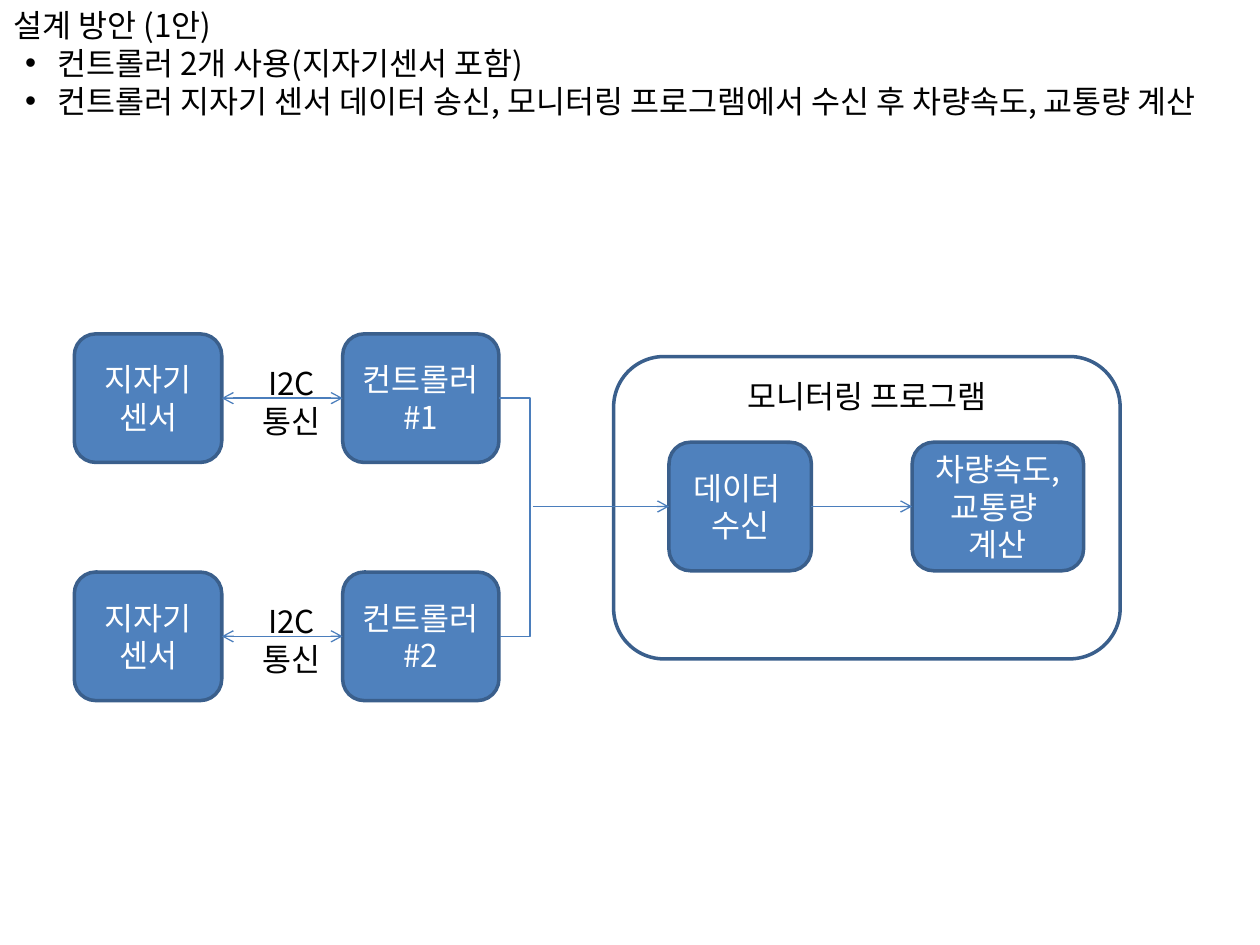
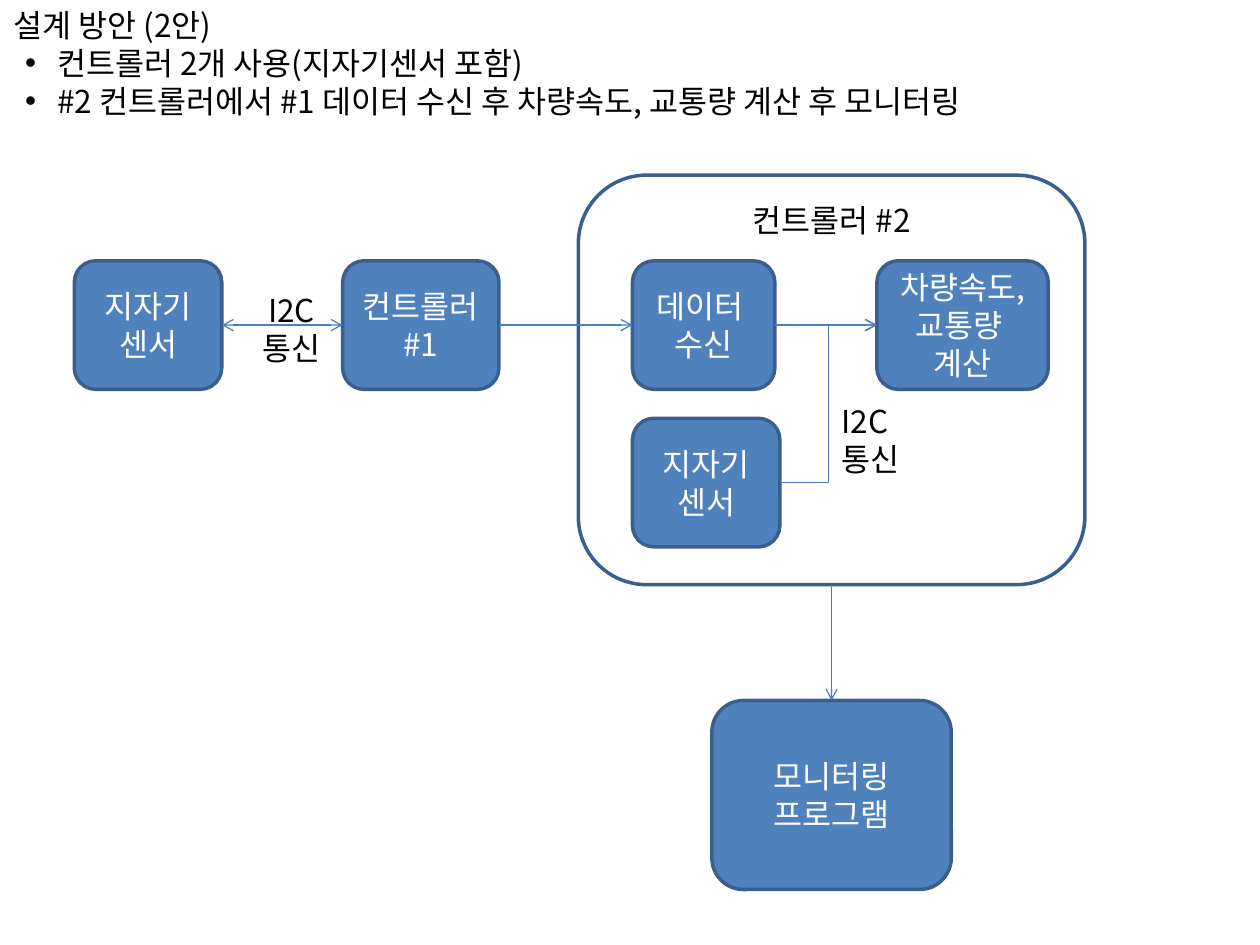
import pptx
import pptx.util
import pptx.dml.color
import pptx.enum.shapes
import pptx.enum.text
import pptx.oxml.ns
import lxml.etree

Inches = pptx.util.Inches
ALIGN = pptx.enum.text.PP_ALIGN
FONT = "Noto Sans CJK KR"
BLACK, WHITE = "000000", "FFFFFF"
BLUE, EDGE, WIRE = "4F81BD", "3A5F8C", "4B7EBC"

SENSOR = (["지자기", "센서"], 1.17)
FIRST = (["컨트롤러", "#1"], 1.24)
SECOND = (["컨트롤러", "#2"], 1.24)
DATA = (["데이터 ", "수신"], 1.13)
CALC = (["차량속도, 교통량 ", "계산"], 1.36)
MONITOR = (["모니터링 프로그램"], 1.9)
BOX, TALL = 1.02, 1.5
SENSE_X, UNIT_X = 0.59, 2.72
NOTE, NOTE_SIDE, NOTE_RISE = "I2C 통신", 0.71, 0.32
COMMON = " 컨트롤러 2개 사용(지자기센서 포함)"

SLIDES = [
    {
        "title": "설계 방안 (1안)",
        "list": [COMMON, " 컨트롤러 지자기 센서 데이터 송신, 모니터링 프로그램에서 수신 후 차량속도, 교통량 계산"],
        "panel": ("모니터링 프로그램", 4.87, 2.83, 4.02, 2.4),
        "boxes": {
            "sense1": (SENSOR, SENSE_X, 2.65, BOX),
            "unit1": (FIRST, UNIT_X, 2.65, BOX),
            "sense2": (SENSOR, SENSE_X, 4.54, BOX),
            "unit2": (SECOND, UNIT_X, 4.54, BOX),
            "data": (DATA, 5.31, 3.51, BOX),
            "calc": (CALC, 7.24, 3.51, BOX),
        },
        "links": [
            ("sense1", "unit1", "both"),
            ("sense2", "unit2", "both"),
            ((4.23, 4.02), "data", "end"),
            ("data", "calc", "end"),
        ],
        "bends": [((3.96, 3.16), (3.97, 5.05), "none", 25)],
        "notes": [(1.96, 3.16, ALIGN.CENTER), (1.96, 5.05, ALIGN.CENTER)],
    },
    {
        "title": "설계 방안 (2안)",
        "list": [COMMON, " #2 컨트롤러에서 #1 데이터 수신 후 차량속도, 교통량 계산 후 모니터링"],
        "panel": ("컨트롤러 #2", 4.59, 1.39, 4.02, 3.25),
        "boxes": {
            "sense1": (SENSOR, SENSE_X, 2.07, BOX),
            "unit1": (FIRST, UNIT_X, 2.07, BOX),
            "data": (DATA, 5.02, 2.07, BOX),
            "calc": (CALC, 6.96, 2.07, BOX),
            "sense2": (SENSOR, 5.02, 3.32, BOX),
            "monitor": (MONITOR, 5.65, 5.56, TALL),
        },
        "links": [
            ("sense1", "unit1", "both"),
            ("unit1", "data", "end"),
            ("data", "calc", "end"),
            ((6.6, 4.64), (6.6, 5.56), "end"),
        ],
        "bends": [("sense2", "calc", "end", 0.5)],
        "notes": [(1.96, 2.58, ALIGN.CENTER), (6.58, 3.46, ALIGN.LEFT)],
    },
]


def color(code):
    return pptx.dml.color.RGBColor.from_string(code)


def child(node, tag, **attrs):
    return lxml.etree.SubElement(node, pptx.oxml.ns.qn(tag), attrs)


def write(frame, lines, tint, align, bullet=False):
    frame.word_wrap = True
    for i, line in enumerate(lines):
        para = frame.paragraphs[0] if i == 0 else frame.add_paragraph()
        para.alignment = align
        para.space_before = pptx.util.Pt(0)
        if bullet:
            props = para._p.get_or_add_pPr()
            props.set("marL", str(Inches(0.29)))
            props.set("indent", str(Inches(-0.2)))
            child(props, "a:buFont", typeface="Arial")
            child(props, "a:buChar", char="•")
        run = para.add_run()
        run.text = line
        run.font.size = pptx.util.Pt(18)
        run.font.name = FONT
        run.font.color.rgb = color(tint)
        child(run._r.get_or_add_rPr(), "a:ea", typeface=FONT)


def place(holder, top, high, lines, bullet=False):
    holder.left, holder.top = Inches(0.01), Inches(top)
    holder.width, holder.height = Inches(9.99), Inches(high)
    frame = holder.text_frame
    frame.auto_size = pptx.enum.text.MSO_AUTO_SIZE.NONE
    frame.vertical_anchor = pptx.enum.text.MSO_ANCHOR.TOP
    write(frame, lines, BLACK, ALIGN.LEFT, bullet)


def round_box(slide, lines, area, fill=None):
    kind = pptx.enum.shapes.MSO_SHAPE.ROUNDED_RECTANGLE
    shape = slide.shapes.add_shape(kind, *map(Inches, area))
    shape.shadow.inherit = False
    shape.line.color.rgb = color(EDGE)
    shape.line.width = pptx.util.Pt(2)
    anchor = pptx.enum.text.MSO_ANCHOR
    if fill:
        shape.fill.solid()
        shape.fill.fore_color.rgb = color(fill)
    else:
        shape.fill.background()
    shape.text_frame.vertical_anchor = anchor.MIDDLE if fill else anchor.TOP
    write(shape.text_frame, lines, WHITE if fill else BLACK, ALIGN.CENTER)


def point(boxes, end, side):
    if isinstance(end, tuple):
        return end
    (lines, wide), left, top, high = boxes[end]
    return left + wide * side, top + high / 2


def link(slide, boxes, start, stop, heads, bend=None):
    kinds = pptx.enum.shapes.MSO_CONNECTOR
    kind = kinds.STRAIGHT if bend is None else kinds.ELBOW
    ends = point(boxes, start, 1) + point(boxes, stop, 0)
    wire = slide.shapes.add_connector(kind, *map(Inches, ends))
    wire.line.color.rgb = color(WIRE)
    wire.line.width = pptx.util.Pt(0.75)
    props = wire._element.spPr
    line = wire.line._get_or_add_ln()
    if heads == "both":
        child(line, "a:headEnd", type="arrow")
    if heads != "none":
        child(line, "a:tailEnd", type="arrow")
    if bend is not None:
        guides = props.find(".//" + pptx.oxml.ns.qn("a:avLst"))
        child(guides, "a:gd", name="adj1", fmla=f"val {round(bend * 100000)}")
    child(props, "a:effectLst")


def build(deck, plan):
    slide = deck.slides.add_slide(deck.slide_layouts[1])
    place(slide.shapes.title, 0, 0.4, [plan["title"]])
    place(slide.placeholders[1], 0.3, 0.71, plan["list"], True)
    name, *area = plan["panel"]
    round_box(slide, [name], area)
    boxes = plan["boxes"]
    for (lines, wide), left, top, high in boxes.values():
        round_box(slide, lines, (left, top, wide, high), BLUE)
    for item in plan["links"] + plan["bends"]:
        link(slide, boxes, *item)
    for left, mid, align in plan["notes"]:
        area = (left, mid - NOTE_RISE, NOTE_SIDE, NOTE_SIDE)
        note = slide.shapes.add_textbox(*map(Inches, area))
        write(note.text_frame, [NOTE], BLACK, align)


def main():
    deck = pptx.Presentation()
    deck.slide_width, deck.slide_height = Inches(10), Inches(7.5)
    for plan in SLIDES:
        build(deck, plan)
    deck.save("out.pptx")


if __name__ == "__main__":
    main()
